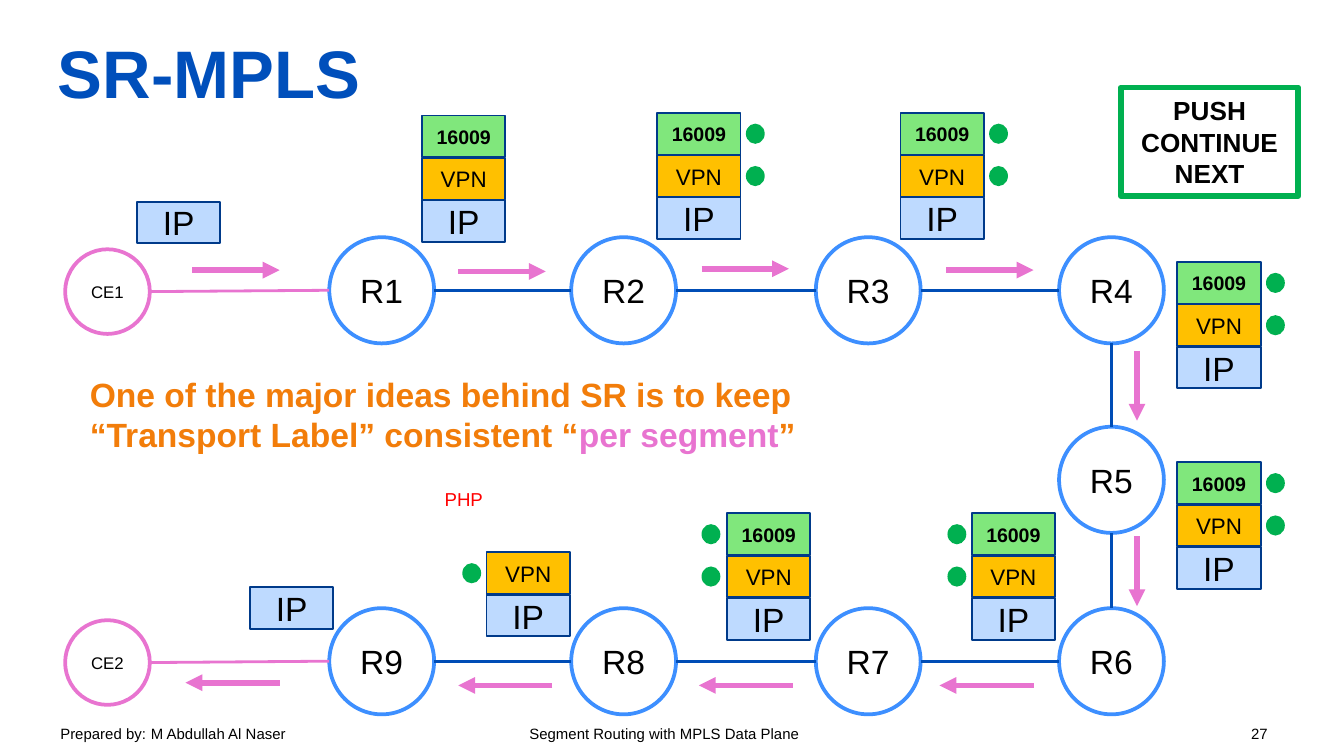
from lxml.etree import SubElement
from pptx import Presentation
from pptx.dml.color import RGBColor
from pptx.enum.shapes import MSO_CONNECTOR, MSO_SHAPE
from pptx.enum.text import MSO_ANCHOR, MSO_AUTO_SIZE, PP_ALIGN
from pptx.oxml.ns import qn
from pptx.util import Inches, Pt

BLACK = RGBColor(0x00, 0x00, 0x00)
TITLE_BLUE = RGBColor(0x00, 0x4F, 0xBB)
LINK_BLUE = RGBColor(0x00, 0x4D, 0xB6)
NODE_BLUE = RGBColor(0x3D, 0x8F, 0xFF)
BORDER_BLUE = RGBColor(0x00, 0x3A, 0x8A)
IP_BLUE = RGBColor(0xBE, 0xDA, 0xFF)
VPN_AMBER = RGBColor(0xFF, 0xC0, 0x00)
LABEL_GREEN = RGBColor(0x80, 0xE7, 0x7C)
GREEN = RGBColor(0x00, 0xB0, 0x50)
PINK = RGBColor(0xE8, 0x74, 0xD0)
ORANGE = RGBColor(0xF2, 0x7D, 0x0A)
RED = RGBColor(0xFF, 0x00, 0x00)

TOP, MIDDLE, BOTTOM = 2.16, 3.57, 4.92
COLUMNS = [2.84, 4.64, 6.46, 8.27]
NODE_W, NODE_H = 0.78, 0.79
CE_X, CE_SIZE = 0.8, 0.63
CELL_W, CELL_H, CELL_STEP = 0.62, 0.31, 0.63 / 2
CELLS = {
    "16009": (LABEL_GREEN, 10.5, True),
    "VPN": (VPN_AMBER, 12, False),
    "IP": (IP_BLUE, 18, False),
}
FULL = ["16009", "VPN", "IP"]
STACKS = [
    (1.02, 1.5, ["IP"], None),
    (3.14, 0.86, FULL, None),
    (4.89, 0.84, FULL, 0.66),
    (6.7, 0.84, FULL, 0.66),
    (8.76, 1.95, FULL, 0.66),
    (8.76, 3.44, FULL, 0.66),
    (7.23, 3.82, FULL, -0.18),
    (5.41, 3.82, FULL, -0.19),
    (3.62, 4.11, ["VPN", "IP"], -0.18),
    (1.86, 4.37, ["IP"], None),
]
FLOWS = [
    (1.43, 2.01, 0.65, 0),
    (3.41, 2.02, 0.65, 0),
    (5.22, 2, 0.65, 0),
    (7.04, 2.01, 0.65, 0),
    (8.46, 2.61, 0, 0.52),
    (8.46, 3.99, 0, 0.52),
    (7.69, 5.1, -0.7, 0),
    (5.9, 5.1, -0.7, 0),
    (4.11, 5.1, -0.7, 0),
    (2.08, 5.08, -0.7, 0),
]


def add_run(p, text, size, color, bold=False):
    r = p.add_run()
    r.text = text
    for name, value in {"name": "Arial", "size": Pt(size), "bold": bold}.items():
        setattr(r.font, name, value)
    r.font.color.rgb = color


def format_frame(tf, **extra):
    frame = {"margin_left": 0, "margin_right": 0, "margin_top": 0,
             "margin_bottom": 0, "vertical_anchor": MSO_ANCHOR.MIDDLE, **extra}
    for name, value in frame.items():
        setattr(tf, name, value)


def add_shape(s, kind, x, y, w, h, fill=None, line=None, width=1):
    sp = s.shapes.add_shape(kind, Inches(x), Inches(y), Inches(w), Inches(h))
    sp.shadow.inherit = False
    if fill is None:
        sp.fill.background()
    else:
        sp.fill.solid()
        sp.fill.fore_color.rgb = fill
    if line is None:
        sp.line.fill.background()
    else:
        sp.line.color.rgb = line
        sp.line.width = Pt(width)
    return sp


def label(sp, lines, size, bold=False):
    tf = sp.text_frame
    format_frame(tf)
    for i, text in enumerate(lines):
        p = tf.add_paragraph() if i else tf.paragraphs[0]
        p.alignment = PP_ALIGN.CENTER
        add_run(p, text, size, BLACK, bold)


def add_node(s, name, x, y, w=NODE_W, h=NODE_H, color=NODE_BLUE, size=18):
    sp = add_shape(s, MSO_SHAPE.OVAL, x - w / 2, y - h / 2, w, h,
                   line=color, width=2)
    label(sp, [name], size)


def add_line(s, x1, y1, x2, y2, color, width=1.5, arrow=False):
    cn = s.shapes.add_connector(MSO_CONNECTOR.STRAIGHT, Inches(x1), Inches(y1),
                                Inches(x2), Inches(y2))
    cn.line.color.rgb = color
    cn.line.width = Pt(width)
    if arrow:
        SubElement(cn.line._get_or_add_ln(), qn("a:tailEnd"), type="triangle")
    SubElement(cn._element.spPr, qn("a:effectLst"))


def add_stack(s, x, y, names, dot_offset):
    for i, name in enumerate(names):
        fill, size, bold = CELLS[name]
        cell_y = y + i * CELL_STEP
        sp = add_shape(s, MSO_SHAPE.RECTANGLE, x, cell_y, CELL_W, CELL_H,
                       fill, BORDER_BLUE)
        label(sp, [name], size, bold)
        if dot_offset is not None and name != "IP":
            add_shape(s, MSO_SHAPE.OVAL, x + dot_offset, cell_y + 0.08,
                      0.14, 0.15, GREEN)


def add_text(s, x, y, w, h, runs, wrap=True, tabs=()):
    tf = s.shapes.add_textbox(Inches(x), Inches(y), Inches(w), Inches(h)).text_frame
    tf.word_wrap = wrap
    p = tf.paragraphs[0]
    if tabs:
        tab_list = SubElement(p._p.get_or_add_pPr(), qn("a:tabLst"))
        for pos in tabs:
            SubElement(tab_list, qn("a:tab"), pos=str(Inches(pos)), algn="l")
    for run in runs:
        add_run(p, *run)


def add_title(s, text):
    sp = s.shapes.title
    box = {"left": 0.43, "top": 0.06, "width": 9.13, "height": 0.94}
    for name, value in box.items():
        setattr(sp, name, Inches(value))
    format_frame(sp.text_frame, auto_size=MSO_AUTO_SIZE.NONE)
    p = sp.text_frame.paragraphs[0]
    p.alignment = PP_ALIGN.LEFT
    add_run(p, text, 36, TITLE_BLUE, True)


def add_network(s):
    half_w, half_h = NODE_W / 2, NODE_H / 2
    rows = [(TOP, ["R1", "R2", "R3", "R4"], "CE1"),
            (BOTTOM, ["R9", "R8", "R7", "R6"], "CE2")]
    for y, names, edge in rows:
        for name, x in zip(names, COLUMNS):
            add_node(s, name, x, y)
        for x1, x2 in zip(COLUMNS, COLUMNS[1:]):
            add_line(s, x1 + half_w, y, x2 - half_w, y, LINK_BLUE)
        edge_y = y + 0.01
        add_node(s, edge, CE_X, edge_y, CE_SIZE, CE_SIZE, PINK, 9)
        add_line(s, CE_X + CE_SIZE / 2, edge_y, COLUMNS[0] - half_w, y, PINK)
    x = COLUMNS[-1]
    add_node(s, "R5", x, MIDDLE)
    for y1, y2 in [(TOP, MIDDLE), (MIDDLE, BOTTOM)]:
        add_line(s, x, y1 + half_h, x, y2 - half_h, LINK_BLUE)


def main():
    prs = Presentation()
    prs.slide_width = Inches(10)
    prs.slide_height = prs.slide_width * 9 // 16
    s = prs.slides.add_slide(prs.slide_layouts[5])
    add_text(s, 0.35, 5.33, 9.32, 0.25, [
        ("Prepared by:", 8, BLACK),
        (" ", 9, BLACK),
        ("M Abdullah Al Naser\tSegment Routing with MPLS Data Plane\t27", 8, BLACK),
    ], tabs=(3.49, 8.86))
    add_title(s, "SR-MPLS")
    add_network(s)
    for stack in STACKS:
        add_stack(s, *stack)
    add_text(s, 3.21, 3.58, 0.49, 0.27, [("PHP", 10, RED)], wrap=False)
    add_text(s, 0.57, 2.73, 6.24, 0.71, [
        ("One of the major ideas behind SR is to keep "
         "“Transport Label” consistent “", 18, ORANGE, True),
        ("per segment", 18, PINK, True),
        ("”", 18, ORANGE, True),
    ])
    sp = add_shape(s, MSO_SHAPE.RECTANGLE, 8.34, 0.65, 1.32, 0.81,
                   line=GREEN, width=3)
    label(sp, ["PUSH", "CONTINUE", "NEXT"], 14, True)
    for x, y, dx, dy in FLOWS:
        add_line(s, x, y, x + dx, y + dy, PINK, 3, arrow=True)
    prs.save("out.pptx")


if __name__ == "__main__":
    main()
